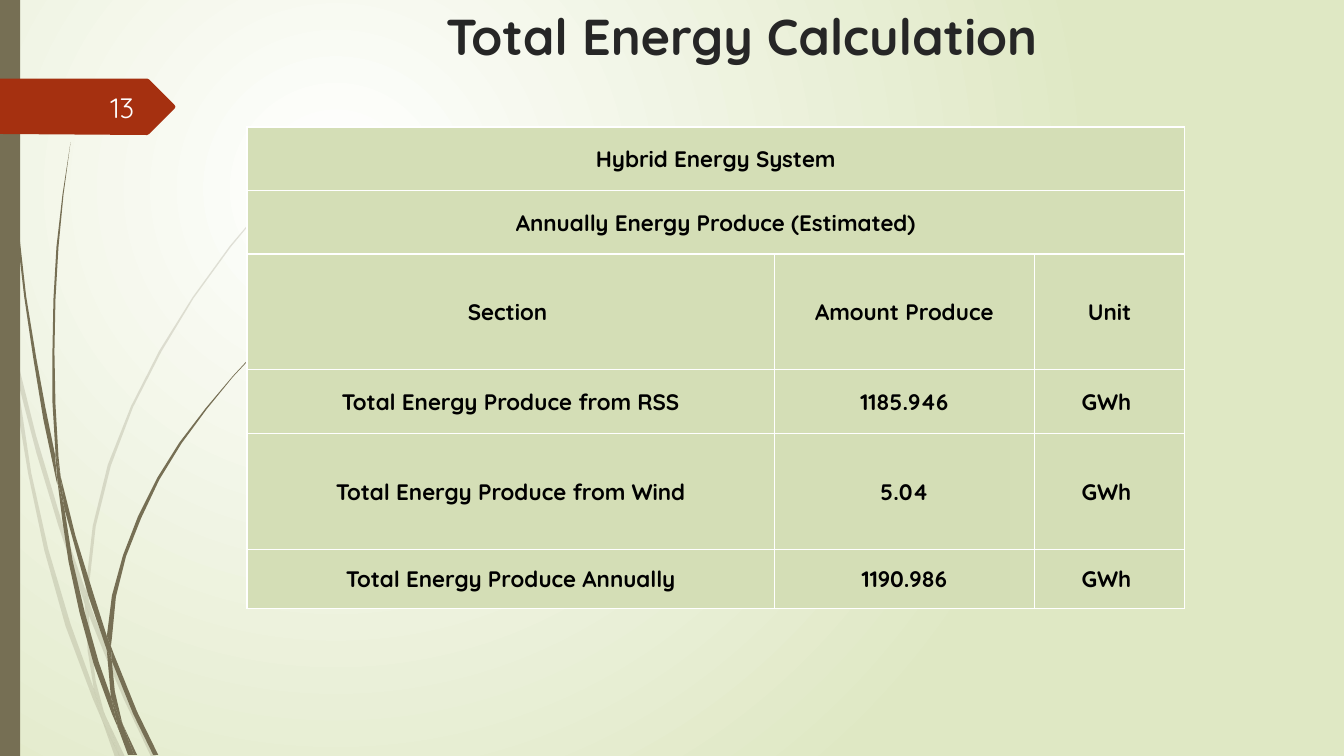
from dataclasses import dataclass

from lxml import etree
from pptx import Presentation
from pptx.dml.color import RGBColor
from pptx.enum.shapes import MSO_SHAPE
from pptx.enum.text import MSO_ANCHOR, PP_ALIGN
from pptx.oxml.ns import qn
from pptx.util import Inches, Pt

RECT = MSO_SHAPE.RECTANGLE
TOP, MIDDLE = MSO_ANCHOR.TOP, MSO_ANCHOR.MIDDLE
CENTER, RIGHT = PP_ALIGN.CENTER, PP_ALIGN.RIGHT
FONT = "Quicksand"
WHITE, LIME, OLIVE, RUST, SAGE = "FFFFFF", "DFE8C4", "766F54", "A53010", "D4DEB6"


@dataclass
class Tuft:
    alpha: int  # percent
    blades: list[str]  # corners as "x y, x y"


@dataclass
class Label:
    text: str
    left: float
    top: float
    width: float
    height: float
    style: dict


PALE = Tuft(20, [
    "0.11 3.5, 0.09 3.22, 0 2.82, 0 2.99, 0.1 3.44",
    "0.58 5.22, 0.84 5.99, 0.85 5.86, 0.62 5.2, 0.36 4.33, 0.14 3.45, 0.17 3.76, 0.36 4.49",
    "0.92 6.07, 0.88 5.96, 0.88 6.1, 1.05 6.52, 1.23 6.94, 1.5 7.51, 1.55 7.51, 1.27 6.92, 1.09 6.5",
    "1.19 7.51, 1.24 7.51, 1.05 7.11",
    "0.93 6.83, 0.7 6.19, 0.48 5.45, 0.31 4.69, 0.24 4.23, 0.17 3.76, 0.11 3.5, 0.18 4.1, "
    "0.28 4.7, 0.44 5.46, 0.65 6.21, 0.92 6.93, 1.01 7.14, 0.99 7.07",
    "0.84 5.99, 0.87 6.46, 0.93 6.83, 0.96 6.92, 1.05 7.11, 1.03 7.06, 0.95 6.76, 0.91 6.46, "
    "0.88 6.1, 0.88 6.08",
    "0.88 5.84, 0.95 5.22, 1.1 4.62, 1.32 4.04, 1.6 3.49, 1.92 2.96, 2.29 2.45, 2.68 1.98, "
    "2.9 1.75, 3.12 1.54, 3.12 1.53, 2.89 1.75, 2.68 1.97, 2.28 2.44, 1.91 2.95, 1.58 3.48, "
    "1.3 4.03, 1.07 4.61, 0.92 5.22, 0.85 5.84, 0.85 5.86, 0.88 5.96",
    "1.01 7.14, 1.14 7.51, 1.19 7.51",
    "0.88 6.08, 0.88 6.1, 0.88 5.96, 0.85 5.86, 0.84 5.99",
    "0.96 6.92, 0.93 6.83, 0.99 7.07, 1.01 7.14, 1.19 7.51, 1.05 7.11",
])
DARK = Tuft(100, [
    "0.07 1.1, 0.11 1.72, 0.17 2.33, 0.24 2.94, 0.33 3.55, 0.43 4.16, 0.56 4.77, 0.57 4.81, "
    "0.55 4.57, 0.55 4.53, 0.45 4.04, 0.36 3.55, 0.26 2.94, 0.19 2.32, 0.12 1.71, 0.08 1.09, "
    "0.05 0.48, 0.04 0, 0.03 0, 0.04 0.48",
    "0.88 5.92, 1.06 6.45, 1.06 6.33, 1.06 6.31, 0.93 5.9, 0.75 5.32, 0.6 4.72, 0.64 5.05",
    "1.13 6.49, 1.1 6.41, 1.11 6.56, 1.32 7.08, 1.52 7.49, 1.57 7.49, 1.36 7.06",
    "1.1 6.91, 0.98 6.57, 0.84 6.07, 0.72 5.56, 0.64 5.05, 0.57 4.77, 0.62 5.17, 0.68 5.57, "
    "0.79 6.08, 0.93 6.59, 1.11 7.08, 1.17 7.22, 1.16 7.17",
    "0.6 4.72, 0.58 4.53, 0.55 4.01, 0.54 3.49, 0.55 2.97, 0.58 2.45, 0.63 1.93, 0.7 1.41, "
    "0.62 1.93, 0.56 2.45, 0.53 2.97, 0.52 3.49, 0.52 3.99, 0.55 4.49",
    "1.33 7.49, 1.36 7.49, 1.22 7.19",
    "0.57 4.77, 0.64 5.05, 0.6 4.72, 0.55 4.49, 0.55 4.53",
    "1.11 6.33, 1.15 5.92, 1.25 5.52, 1.4 5.14, 1.58 4.76, 1.8 4.4, 2.05 4.06, 2.31 3.74, "
    "2.45 3.59, 2.61 3.44, 2.6 3.44, 2.45 3.58, 2.31 3.73, 2.04 4.05, 1.78 4.39, 1.56 4.74, "
    "1.37 5.12, 1.22 5.51, 1.11 5.91, 1.06 6.31, 1.1 6.41",
    "1.17 7.22, 1.27 7.49, 1.31 7.49",
    "1.06 6.45, 1.1 6.91, 1.16 7.06, 1.22 7.19, 1.21 7.16, 1.14 6.86, 1.11 6.56, 1.09 6.51",
    "1.06 6.45, 1.09 6.51, 1.11 6.56, 1.1 6.41, 1.06 6.31, 1.06 6.33",
    "1.16 7.06, 1.1 6.91, 1.16 7.17, 1.17 7.22, 1.3 7.49, 1.33 7.49, 1.22 7.19",
])
TAG = ("0 0.78, 1.46 0.78, 1.48 0.79, 1.73 1.04, 1.74 1.06, 1.73 1.08, "
       "1.48 1.33, 1.46 1.34, 0 1.33")
LABELS = [
    Label("Total Energy Calculation", 2.48, 0, 9.75, 1.4,
          dict(size=36, color="262626", bold=True)),
    Label("13", 0.58, 0.86, 0.85, 0.4,
          dict(size=20, color="FEFFFF", align=RIGHT, anchor=MIDDLE)),
]
COLS = [5.23, 2.58, 1.49]
ROWS = [0.63, 0.63, 1.15, 0.63, 1.15, 0.59]
CELLS = [
    ["Hybrid Energy System"],
    ["Annually Energy Produce (Estimated)"],
    ["Section ", "Amount Produce", "Unit"],
    ["Total Energy Produce from RSS", "1185.946", "GWh "],
    ["Total Energy Produce from Wind", "5.04", "GWh "],
    ["Total Energy Produce Annually", "1190.986", "GWh "],
]


def rgb(code: str) -> RGBColor:
    return RGBColor.from_string(code)


def paint(shape, code: str, alpha: int = 100) -> None:
    shape.shadow.inherit = False
    shape.line.fill.background()
    shape.fill.solid()
    shape.fill.fore_color.rgb = rgb(code)
    if alpha < 100:
        tint = shape._element.spPr.find(qn("a:solidFill")).find(qn("a:srgbClr"))
        etree.SubElement(tint, qn("a:alpha"), val=str(alpha * 1000))


def write(frame, text: str, *, size: float, color: str, bold: bool = False,
          align=CENTER, anchor=TOP) -> None:
    frame.word_wrap = True
    frame.vertical_anchor = anchor
    par = frame.paragraphs[0]
    par.alignment = align
    run = par.add_run()
    run.text = text
    run.font.name, run.font.size, run.font.bold = FONT, Pt(size), bold
    run.font.color.rgb = rgb(color)


def outline(shapes, corners: str, code: str, alpha: int = 100) -> None:
    spots = [tuple(Inches(float(n)) for n in pair.split()) for pair in corners.split(",")]
    pen = shapes.build_freeform(*spots[0])
    pen.add_line_segments(spots[1:], close=True)
    paint(pen.convert_to_shape(), code, alpha)


def edge(cell) -> None:
    props = cell._tc.get_or_add_tcPr()
    for side in ("a:lnL", "a:lnR", "a:lnT", "a:lnB"):
        line = etree.SubElement(props, qn(side), w=str(int(Pt(1))))
        etree.SubElement(etree.SubElement(line, qn("a:solidFill")), qn("a:srgbClr"), val=WHITE)


def grid(shapes) -> None:
    table = shapes.add_table(len(ROWS), len(COLS), Inches(2.45), Inches(1.26),
                             Inches(sum(COLS)), Inches(sum(ROWS))).table
    for col, width in zip(table.columns, COLS):
        col.width = Inches(width)
    for r, (height, texts) in enumerate(zip(ROWS, CELLS)):
        table.rows[r].height = Inches(height)
        for c in range(len(COLS)):
            cell = table.cell(r, c)
            edge(cell)
            cell.fill.solid()
            cell.fill.fore_color.rgb = rgb(SAGE)
            cell.margin_left = cell.margin_right = cell.margin_top = Inches(0.01)
            cell.margin_bottom = 0
            cell.vertical_anchor = MIDDLE
            if c < len(texts):
                write(cell.text_frame, texts[c], size=16, color="000000", bold=True, anchor=MIDDLE)
        if len(texts) == 1:
            table.cell(r, 0).merge(table.cell(r, len(COLS) - 1))


def backdrop(slide) -> None:
    fill = slide.background.fill
    fill.gradient()
    for stop, code, place in zip(fill.gradient_stops, (WHITE, LIME), (0, 1)):
        stop.color.rgb, stop.position = rgb(code), place
    grad = slide._element.find(".//" + qn("a:gradFill"))
    grad.remove(grad.find(qn("a:lin")))
    glow = etree.SubElement(grad, qn("a:path"), {"path": "circle"})
    etree.SubElement(glow, qn("a:fillToRect"), l="50000", t="50000", r="100000", b="100000")


def main() -> None:
    deck = Presentation()
    deck.slide_width, deck.slide_height = Inches(13.33), Inches(7.5)
    slide = deck.slides.add_slide(deck.slide_layouts[6])
    shapes = slide.shapes
    backdrop(slide)
    # Grass, side bar and number tag
    for tuft in (PALE, DARK):
        group = shapes.add_group_shape()
        for blade in tuft.blades:
            outline(group.shapes, blade, OLIVE, tuft.alpha)
    paint(shapes.add_shape(RECT, 0, 0, Inches(0.2), Inches(7.5)), OLIVE)
    outline(shapes, TAG, RUST)
    # Table, title and slide number
    grid(shapes)
    for item in LABELS:
        place = (Inches(v) for v in (item.left, item.top, item.width, item.height))
        write(shapes.add_textbox(*place).text_frame, item.text, **item.style)
    deck.save("out.pptx")


if __name__ == "__main__":
    main()
